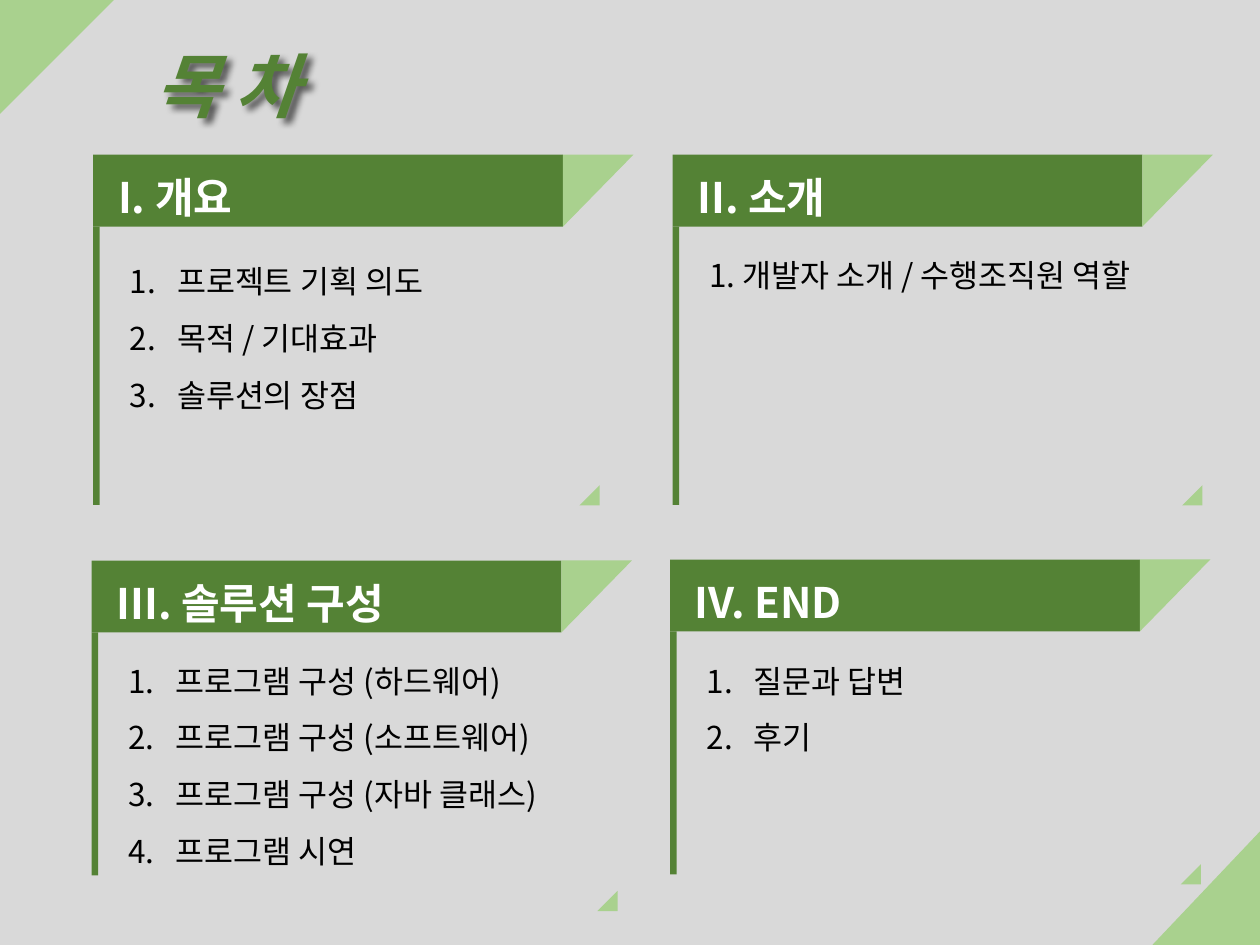
"""Build a table-of-contents slide with four folded-ribbon panels."""
from lxml.etree import SubElement
from pptx import Presentation
from pptx.dml.color import RGBColor
from pptx.enum.shapes import MSO_SHAPE
from pptx.enum.text import MSO_ANCHOR, PP_ALIGN
from pptx.oxml import parse_xml
from pptx.oxml.ns import qn
from pptx.util import Cm, Pt

FONT = "Noto Sans CJK KR"
GREEN, LIGHT, GRAY, WHITE, BLACK = "548235", "A9D18E", "D9D9D9", "FFFFFF", "000000"
WIDTH, HEIGHT = 25.4, 19.05
HEADER_WIDTH, RIBBON_HEIGHT, FOLD_WIDTH = 9.47, 1.45, 1.42
BAR_WIDTH, CORNER_SIZE = 0.13, 0.41
LIST_OFFSET, LIST_WIDTH, LINE_HEIGHT = 0.49, 10.1, 1.12

PANELS = [
    dict(title="I. 개요", at=(1.88, 3.12), bar=5.61, list_top=4.78, corner=(11.68, 9.78),
         numbered=True, items=["프로젝트 기획 의도", "목적 / 기대효과", "솔루션의 장점"]),
    dict(title="II. 소개", at=(13.56, 3.12), bar=5.61, list_top=4.65, corner=(23.83, 9.78),
         numbered=False, items=["1. 개발자 소개 / 수행조직원 역할"]),
    dict(title="III. 솔루션 구성", at=(1.85, 11.3), bar=4.9, list_top=12.83, corner=(12.04, 17.96),
         numbered=True, items=["프로그램 구성 (하드웨어)", "프로그램 구성 (소프트웨어)",
                               "프로그램 구성 (자바 클래스)", "프로그램 시연"]),
    dict(title="IV. END", at=(13.51, 11.28), bar=4.9, list_top=12.83, corner=(23.8, 17.42),
         numbered=True, items=["질문과 답변", "후기"]),
]

TITLE_SHADOW = (
    '<a:effectLst xmlns:a="http://schemas.openxmlformats.org/drawingml/2006/main">'
    '<a:outerShdw blurRad="50800" dist="50800" dir="2700000" algn="tl" rotWithShape="0">'
    '<a:srgbClr val="000000"><a:alpha val="60000"/></a:srgbClr></a:outerShdw></a:effectLst>'
)


def color(value):
    """Turn a hex string into a colour."""
    return RGBColor.from_string(value)


def add_block(page, left, top, width, height, fill, kind=MSO_SHAPE.RECTANGLE):
    """Add a flat shape without outline or shadow."""
    shape = page.shapes.add_shape(kind, Cm(left), Cm(top), Cm(width), Cm(height))
    shape.shadow.inherit = False
    shape.fill.solid()
    shape.fill.fore_color.rgb = color(fill)
    shape.line.fill.background()
    return shape


def add_triangle(page, left, top, width, height, turned=False):
    """Add a triangle with its right angle top left, or bottom right when turned."""
    shape = add_block(page, left, top, width, height, LIGHT, MSO_SHAPE.RIGHT_TRIANGLE)
    shape.element.spPr.find(qn("a:xfrm")).set("flipV", "1")
    shape.rotation = 180 if turned else 0


def write(shape, lines, size=18, fill=BLACK, bold=False, italic=False, spacing=1.5, numbered=False):
    """Write one paragraph per line into a shape."""
    frame = shape.text_frame
    frame.word_wrap = True
    for index, line in enumerate(lines):
        para = frame.add_paragraph() if index else frame.paragraphs[0]
        para.alignment = PP_ALIGN.LEFT
        para.line_spacing = spacing
        span = para.add_run()
        span.text = line
        font = span.font
        font.name, font.size, font.bold, font.italic = FONT, Pt(size), bold, italic
        font.color.rgb = color(fill)
        SubElement(font._element, qn("a:ea")).set("typeface", FONT)
        if numbered:
            properties = para._p.get_or_add_pPr()
            properties.set("marL", str(Cm(0.95)))
            properties.set("indent", str(-Cm(0.95)))
            SubElement(properties, qn("a:buFont")).set("typeface", "+mj-lt")
            SubElement(properties, qn("a:buAutoNum")).set("type", "arabicPeriod")


def add_text(page, left, top, width, height, lines, **style):
    """Add a text box and write its lines."""
    box = page.shapes.add_textbox(Cm(left), Cm(top), Cm(width), Cm(height))
    write(box, lines, **style)
    return box


def add_panel(page, title, at, bar, list_top, corner, numbered, items):
    """Add one ribbon header with its side bar, list and corner mark."""
    left, top = at
    header = add_block(page, left, top, HEADER_WIDTH, RIBBON_HEIGHT, GREEN)
    frame = header.text_frame
    frame.vertical_anchor = MSO_ANCHOR.MIDDLE
    frame.margin_left, frame.margin_right = Cm(0.5), Cm(0.15)
    write(header, [title], size=24, fill=WHITE, bold=True, spacing=1.25)
    add_triangle(page, left + HEADER_WIDTH, top, FOLD_WIDTH, RIBBON_HEIGHT)
    add_block(page, left, top + RIBBON_HEIGHT, BAR_WIDTH, bar, GREEN)
    add_text(page, left + LIST_OFFSET, list_top, LIST_WIDTH, 0.25 + LINE_HEIGHT * len(items),
             items, numbered=numbered)
    add_triangle(page, *corner, CORNER_SIZE, CORNER_SIZE, turned=True)


def main():
    """Build and save the deck."""
    deck = Presentation()
    deck.slide_width, deck.slide_height = Cm(WIDTH), Cm(HEIGHT)
    page = deck.slides.add_slide(deck.slide_layouts[6])
    page.background.fill.solid()
    page.background.fill.fore_color.rgb = color(GRAY)
    add_triangle(page, 0, 0, 2.3, 2.3)
    add_triangle(page, WIDTH - 2.17, HEIGHT - 2.29, 2.17, 2.29, turned=True)
    title = add_text(page, 2.87, 0.3, 3.86, 2.16, ["목 차"], size=40, fill=GREEN,
                     bold=True, italic=True, spacing=1.25)
    title.element.spPr.append(parse_xml(TITLE_SHADOW))
    for panel in PANELS:
        add_panel(page, **panel)
    deck.save("out.pptx")


if __name__ == "__main__":
    main()
